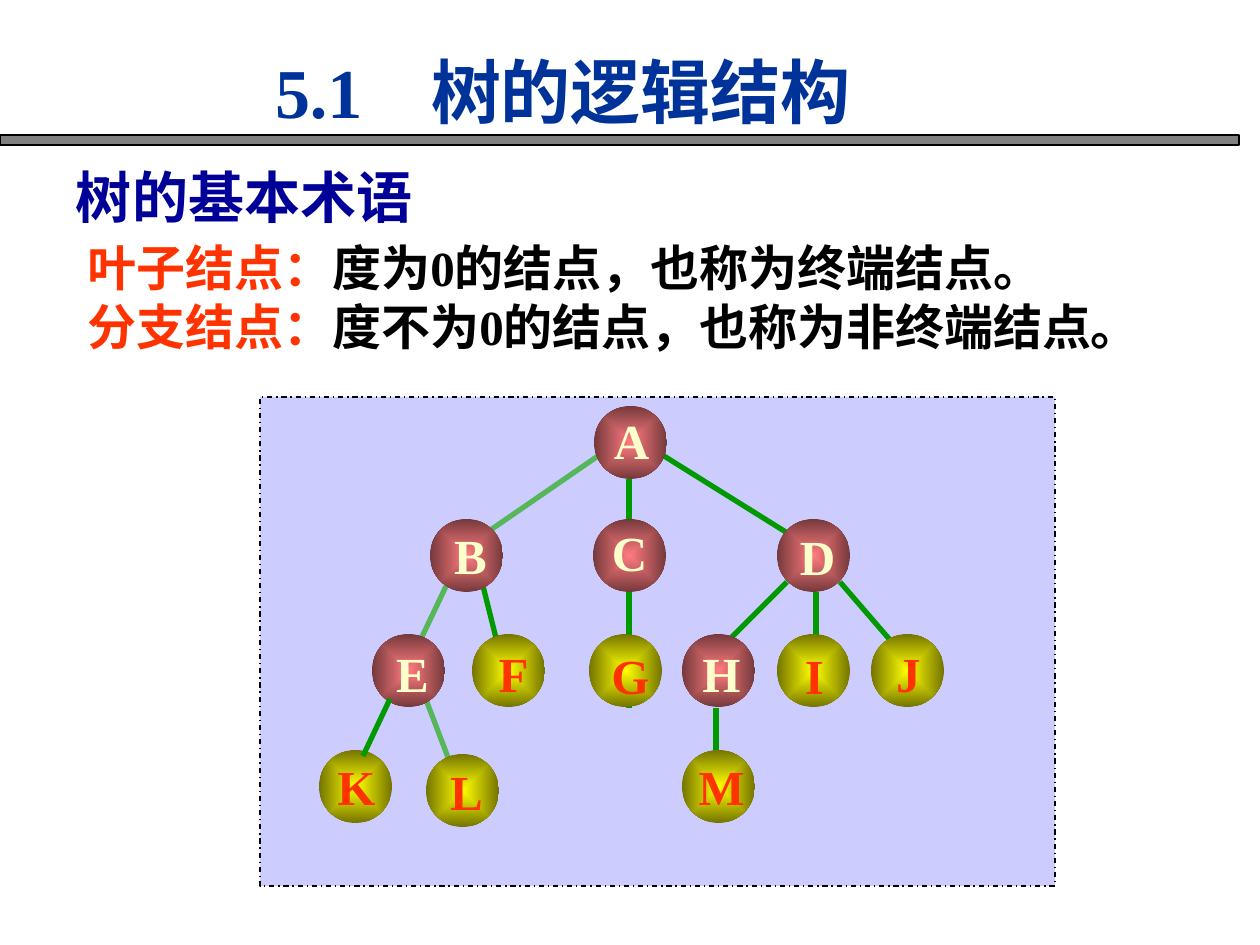
from lxml import etree
from pptx import Presentation
from pptx.dml.color import RGBColor
from pptx.enum.dml import MSO_LINE
from pptx.enum.shapes import MSO_CONNECTOR, MSO_SHAPE
from pptx.enum.text import MSO_ANCHOR, PP_ALIGN
from pptx.oxml.ns import qn
from pptx.util import Pt

SCALE = 914400 / 126
RECT, OVAL = MSO_SHAPE.RECTANGLE, MSO_SHAPE.OVAL
LINE, DASH = MSO_CONNECTOR.STRAIGHT, MSO_LINE.DASH_DOT
TOP, MIDDLE = MSO_ANCHOR.TOP, MSO_ANCHOR.MIDDLE
LEFT, CENTER = PP_ALIGN.LEFT, PP_ALIGN.CENTER
SERIF, SANS, HAN = "Times New Roman", "Arial", "Noto Sans CJK SC"
HUES = {
    "title": "003399", "head": "000099", "term": "FF3300", "ink": "000000",
    "band": "808080", "panel": "CCCCFF", "edge": "009900", "pale": "55B75A",
    "cream": "FFFFCC", "rose": "FF7C80", "wine": "75393B",
    "lemon": "FFFF00", "olive": "757500",
}
INNER = ("rose", "wine", "cream")
LEAF = ("lemon", "olive", "term")
NODE = 73
NODES = [
    ("A", INNER, 334, 9, 1, -2), ("B", INNER, 170, 122, 4, 0),
    ("C", INNER, 333, 122, 0, -3), ("D", INNER, 517, 122, 4, 1),
    ("E", INNER, 112, 237, 4, 3), ("F", LEAF, 212, 237, 5, 3),
    ("G", LEAF, 329, 237, 5, 5), ("H", INNER, 422, 237, 3, 3),
    ("I", LEAF, 517, 237, 1, 5), ("J", LEAF, 611, 237, 1, 3),
    ("K", LEAF, 59, 353, 1, 0), ("L", LEAF, 166, 357, 4, 1),
    ("M", LEAF, 422, 353, 3, 0),
]
BACK = [
    ("edge", 580, 185, 643, 258), ("edge", 527, 185, 464, 248),
    ("edge", 556, 195, 556, 248), ("edge", 456, 311, 456, 374),
    ("edge", 404, 59, 537, 142), ("pale", 338, 59, 232, 132),
    ("edge", 369, 82, 369, 311), ("edge", 222, 185, 241, 261),
    ("pale", 165, 300, 189, 363), ("pale", 188, 185, 161, 242),
]
FRONT = [("edge", 130, 302, 103, 359)]


def px(*sizes):
    """Turn px lengths into EMU."""
    return [round(size * SCALE) for size in sizes]


def hue(name):
    """Give the colour of a name."""
    return RGBColor.from_string(HUES[name])


def put(item, values):
    """Set attributes from a dict."""
    for name, value in values.items():
        setattr(item, name, value)


def shape(slide, kind, box):
    """Add a preset shape without shadow."""
    item = slide.shapes.add_shape(kind, *px(*box))
    item.shadow.inherit = False
    return item


def block(slide, box, fill, dash=None):
    """Add a filled rectangle with a thin black line."""
    item = shape(slide, RECT, box)
    item.fill.solid()
    item.fill.fore_color.rgb = hue(fill)
    item.line.color.rgb = hue("ink")
    put(item.line, {"width": Pt(0.75), "dash_style": dash})


def write(slide, box, rows, size, align=LEFT, side=13, frame=None, tab=None, para=None):
    """Add a text box whose rows are lists of text, font and colour."""
    text = slide.shapes.add_textbox(*px(*box)).text_frame
    gap, edge = px(side, 6)
    put(text, {"word_wrap": True, "vertical_anchor": TOP, "margin_left": gap,
               "margin_right": gap, "margin_top": edge, "margin_bottom": edge,
               **(frame or {})})
    for spot, row in enumerate(rows):
        line = text.add_paragraph() if spot else text.paragraphs[0]
        put(line, {"alignment": align, **(para or {})})
        if spot:
            line.space_before = Pt(3.5)
        if tab:
            stops = etree.SubElement(line._p.get_or_add_pPr(), qn("a:tabLst"))
            etree.SubElement(stops, qn("a:tab"), pos=str(px(tab)[0]), algn="l")
        for words, face, color in row:
            run = line.add_run()
            run.text = words
            put(run.font, {"size": Pt(size), "bold": True, "name": face})
            run.font.color.rgb = hue(color)
            etree.SubElement(run._r.get_or_add_rPr(), qn("a:ea"), typeface=HAN)


def link(slide, left, top, edges):
    """Draw tree edges relative to a corner."""
    for color, x1, y1, x2, y2 in edges:
        ends = px(left + x1, top + y1, left + x2, top + y2)
        item = slide.shapes.add_connector(LINE, *ends)
        item.line.color.rgb = hue(color)
        item.line.width = Pt(3)
        etree.SubElement(item._element.spPr, qn("a:effectLst"))


def ball(slide, left, top, core, rim):
    """Draw a node shaded from its core to its rim."""
    item = shape(slide, OVAL, (left, top, NODE, NODE))
    item.line.fill.background()
    item.fill.gradient()
    for stop, color in zip(item.fill.gradient_stops, (core, rim)):
        stop.color.rgb = hue(color)
    grad = item._element.spPr.find(qn("a:gradFill"))
    grad.remove(grad.find(qn("a:lin")))
    route = etree.SubElement(grad, qn("a:path"), path="rect")
    etree.SubElement(route, qn("a:fillToRect"), l="50000", t="50000", r="50000", b="50000")


def tree(slide, left, top, width, height):
    """Draw the panel with the tree in it."""
    block(slide, (left, top, width, height), "panel", DASH)
    link(slide, left, top, BACK)
    for _, (core, rim, _), x, y, _, _ in NODES:
        ball(slide, left + x, top + y, core, rim)
    for name, (_, _, color), x, y, dx, dy in NODES:
        write(slide, (left + x + dx, top + y + dy, NODE, 72), [[(name, SERIF, color)]],
              28, CENTER, frame={"word_wrap": False, "vertical_anchor": MIDDLE})
    link(slide, left, top, FRONT)


def header(slide, left, top, width):
    """Place the title and the band below it."""
    block(slide, (left, top + 93, width, 10), "band")
    write(slide, (left + 262, top, 609, 97),
          [[("5.1\t树的逻辑结构", SERIF, "title")]], 40, tab=156)


def terms(slide, left, top, width):
    """Place the heading and the two definitions."""
    write(slide, (left, top, 546, 81), [[("树的基本术语", SANS, "head")]], 32)
    pairs = [("叶子结点：", "度为", "的结点，也称为终端结点。"),
             ("分支结点：", "度不为", "的结点，也称为非终端结点。")]
    rows = [[(term, HAN, "term"), (start, HAN, "ink"), ("0", SERIF, "ink"),
             (rest, HAN, "ink")] for term, start, rest in pairs]
    write(slide, (left + 25, top + 82, width, 125), rows, 28, side=0,
          para={"line_spacing": 0.9})


def main():
    """Build and save the slide."""
    deck = Presentation()
    deck.slide_width, deck.slide_height = px(1260, 945)
    slide = deck.slides.add_slide(deck.slide_layouts[6])
    header(slide, 0, 42, 1239)
    tree(slide, 260, 397, 795, 489)
    terms(slide, 63, 156, 1111)
    deck.save("out.pptx")


if __name__ == "__main__":
    main()
